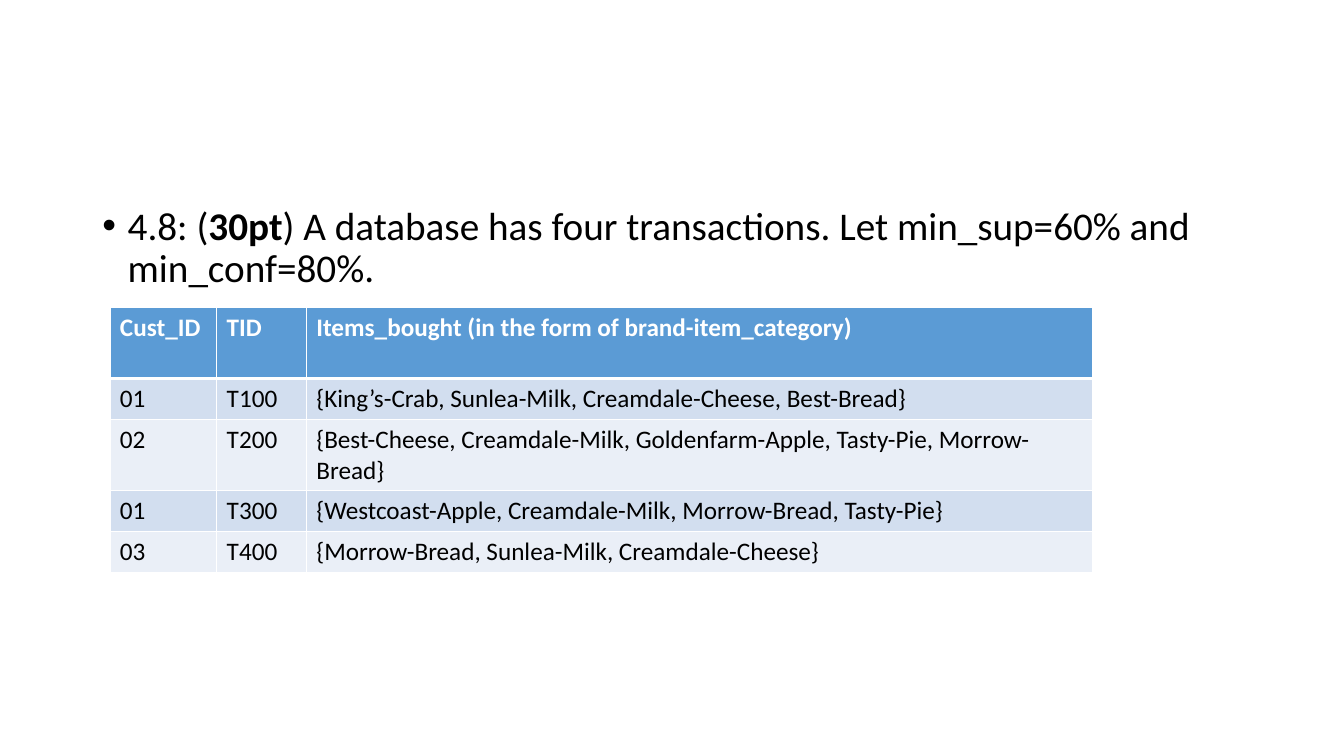
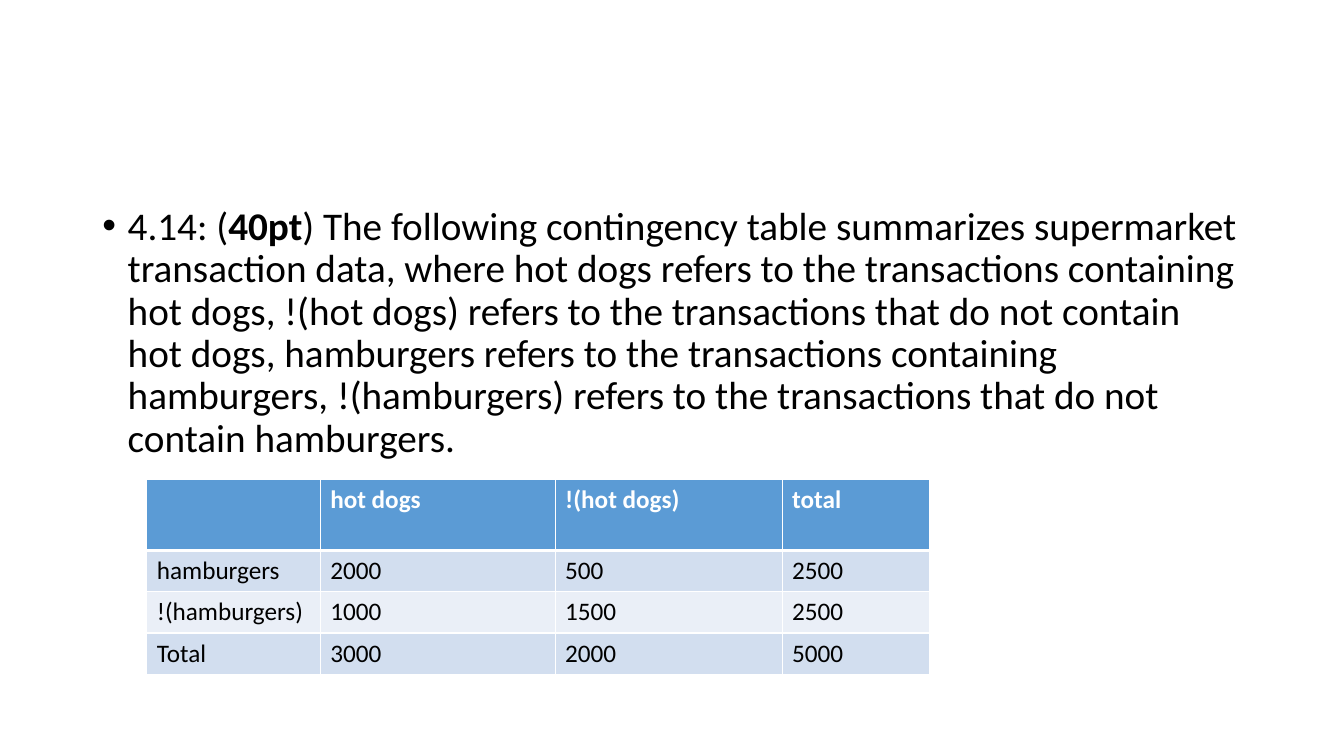
from dataclasses import dataclass

from lxml.etree import SubElement
from pptx import Presentation
from pptx.dml.color import RGBColor
from pptx.oxml.ns import qn
from pptx.slide import Slide
from pptx.table import _Cell
from pptx.text.text import _Paragraph
from pptx.util import Cm, Pt

FONT = "Calibri"
BLACK = RGBColor(0x00, 0x00, 0x00)
WHITE = RGBColor(0xFF, 0xFF, 0xFF)
HEADER_BLUE = RGBColor(0x5B, 0x9B, 0xD5)
BAND_COLORS = (RGBColor(0xD2, 0xDE, 0xEF), RGBColor(0xEA, 0xEF, 0xF7))
HEADER_HEIGHT, ROW_HEIGHT = Cm(1.8), Cm(1.04)
BULLET_INDENT = Cm(0.64)


@dataclass(frozen=True)
class Exercise:
    number: str
    points: str
    question: str
    table_left: float
    table_top: float
    column_widths: tuple[float, ...]
    rows: tuple[tuple[str, ...], ...]


EXERCISES = (
    Exercise(
        "4.8", "30pt",
        "A database has four transactions. Let min_sup=60% and min_conf=80%.",
        2.77, 7.74, (2.69, 2.26, 19.81),
        (
            ("Cust_ID", "TID", "Items_bought (in the form of brand-item_category)"),
            ("01", "T100", "{King’s-Crab, Sunlea-Milk, Creamdale-Cheese, Best-Bread}"),
            ("02", "T200", "{Best-Cheese, Creamdale-Milk, Goldenfarm-Apple, Tasty-Pie, Morrow-Bread}"),
            ("01", "T300", "{Westcoast-Apple, Creamdale-Milk, Morrow-Bread, Tasty-Pie}"),
            ("03", "T400", "{Morrow-Bread, Sunlea-Milk, Creamdale-Cheese}"),
        ),
    ),
    Exercise(
        "4.14", "40pt",
        "The following contingency table summarizes supermarket transaction data, "
        "where hot dogs refers to the transactions containing hot dogs, !(hot dogs) "
        "refers to the transactions that do not contain hot dogs, hamburgers refers "
        "to the transactions containing hamburgers, !(hamburgers) refers to the "
        "transactions that do not contain hamburgers.",
        3.7, 12.07, (4.37, 5.92, 5.72, 3.71),
        (
            ("", "hot dogs", "!(hot dogs)", "total"),
            ("hamburgers", "2000", "500", "2500"),
            ("!(hamburgers)", "1000", "1500", "2500"),
            ("Total", "3000", "2000", "5000"),
        ),
    ),
)


def add_run(paragraph: _Paragraph, text: str, size: int, color: RGBColor, bold: bool = False) -> None:
    run = paragraph.add_run()
    run.text = text
    run.font.name = FONT
    run.font.size = Pt(size)
    run.font.bold = bold
    run.font.color.rgb = color


def add_bullet(paragraph: _Paragraph) -> None:
    properties = paragraph._p.get_or_add_pPr()
    properties.set("marL", str(BULLET_INDENT))
    properties.set("indent", str(-BULLET_INDENT))
    SubElement(properties, qn("a:buFont"), typeface="Arial")
    SubElement(properties, qn("a:buChar"), char="•")


def add_question(slide: Slide, exercise: Exercise) -> None:
    text_box = slide.shapes.add_textbox(Cm(2.33), Cm(5.08), Cm(29.21), Cm(12.09))
    text_box.text_frame.word_wrap = True
    paragraph = text_box.text_frame.paragraphs[0]
    add_bullet(paragraph)
    paragraph.line_spacing = 0.9
    add_run(paragraph, f"{exercise.number}: (", 28, BLACK)
    add_run(paragraph, exercise.points, 28, BLACK, bold=True)
    add_run(paragraph, f") {exercise.question}", 28, BLACK)


def set_borders(cell: _Cell, top: float, bottom: float) -> None:
    properties = cell._tc.get_or_add_tcPr()
    for side, width in (("L", 1), ("R", 1), ("T", top), ("B", bottom)):
        line = SubElement(properties, qn(f"a:ln{side}"), w=str(Pt(width)))
        fill = SubElement(line, qn("a:solidFill"))
        SubElement(fill, qn("a:srgbClr"), val=str(WHITE))


def add_data_table(slide: Slide, exercise: Exercise) -> None:
    row_count, column_count = len(exercise.rows), len(exercise.column_widths)
    frame = slide.shapes.add_table(
        row_count, column_count, Cm(exercise.table_left), Cm(exercise.table_top),
        Cm(sum(exercise.column_widths)), HEADER_HEIGHT + (row_count - 1) * ROW_HEIGHT,
    )
    table = frame.table
    table.horz_banding = False
    for column, width in zip(table.columns, exercise.column_widths):
        column.width = Cm(width)
    for row_index, values in enumerate(exercise.rows):
        is_header = row_index == 0
        table.rows[row_index].height = HEADER_HEIGHT if is_header else ROW_HEIGHT
        for column_index, value in enumerate(values):
            cell = table.cell(row_index, column_index)
            # Borders come before the fill in the cell properties
            set_borders(cell, top=3 if row_index == 1 else 1, bottom=3 if is_header else 1)
            cell.fill.solid()
            cell.fill.fore_color.rgb = HEADER_BLUE if is_header else BAND_COLORS[(row_index - 1) % 2]
            if value:
                add_run(cell.text_frame.paragraphs[0], value, 18,
                        WHITE if is_header else BLACK, bold=is_header)


def main() -> None:
    presentation = Presentation()
    presentation.slide_width, presentation.slide_height = Cm(33.87), Cm(19.05)
    blank_layout = presentation.slide_layouts[6]
    # One slide per exercise
    for exercise in EXERCISES:
        slide = presentation.slides.add_slide(blank_layout)
        add_question(slide, exercise)
        add_data_table(slide, exercise)
    presentation.save("out.pptx")


if __name__ == "__main__":
    main()
